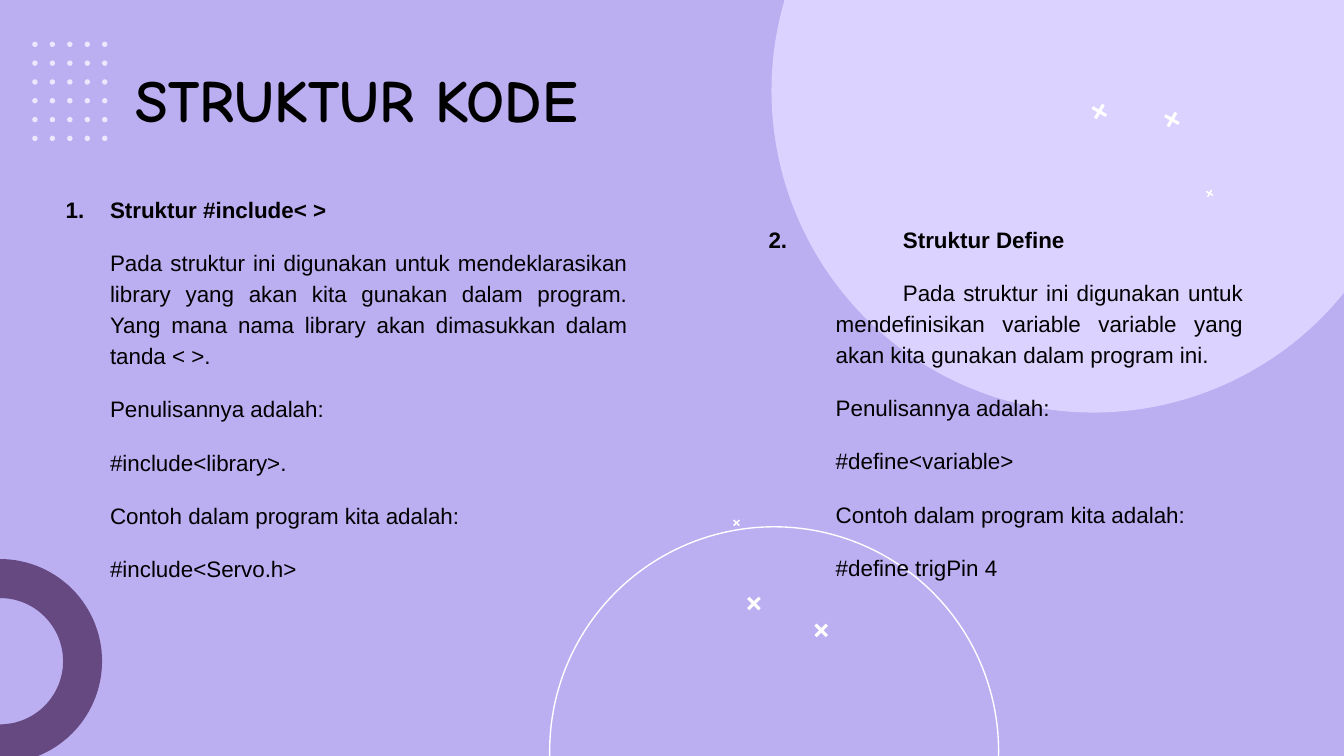
from itertools import product
from math import cos, pi, sin

from lxml.etree import SubElement
from pptx import Presentation
from pptx.dml.color import RGBColor
from pptx.enum.shapes import MSO_SHAPE as Shape
from pptx.enum.text import MSO_ANCHOR as Anchor, MSO_AUTO_SIZE as AutoSize, PP_ALIGN as Align
from pptx.oxml.ns import qn
from pptx.util import Inches, Pt

BACKGROUND, BLACK, WHITE = "BBAEF1", "000000", "FFFFFF"
LILAC, DOT, PLUM = "DBD2FF", "ECE7FC", "664980"


def color(value):
    return RGBColor.from_string(value)


def paint(shape, fill=None, line=None):
    shape.shadow.inherit = False
    if fill:
        shape.fill.solid()
        shape.fill.fore_color.rgb = color(fill)
    else:
        shape.fill.background()
    if line:
        shape.line.color.rgb = color(line)
        shape.line.width = Pt(0.75)
    else:
        shape.line.fill.background()


def add_preset(page, kind, box, fill=None, line=None):
    shape = page.shapes.add_shape(kind, *map(Inches, box))
    paint(shape, fill, line)
    return shape


def add_dot_grid(page, box, columns=5, rows=6, size=0.04):
    left, top, width, height = box
    step_x = (width - size) / (columns - 1)
    step_y = (height - size) / (rows - 1)
    for column, row in product(range(columns), range(rows)):
        dot = (left + column * step_x, top + row * step_y, size, size)
        add_preset(page, Shape.OVAL, dot, DOT)


def add_half_ring(page, box, thickness):
    left, top, width, height = box
    middle, steps = top + height / 2, 60
    angles = [pi * (i / steps - 0.5) for i in range(steps + 1)]

    def arc(radius, turns):
        return [(Inches(left + radius * cos(a)), Inches(middle + radius * sin(a)))
                for a in turns]

    points = arc(width, angles) + arc(width - thickness, reversed(angles))
    builder = page.shapes.build_freeform(*points[0])
    builder.add_line_segments(points[1:], close=True)
    paint(builder.convert_to_shape(), PLUM)


def add_cross(page, box, rotation):
    left, top, size, _ = box
    bar = size / 5
    inset = (size - bar) / 2
    for part in ((left + inset, top, bar, size), (left, top + inset, size, bar)):
        add_preset(page, Shape.RECTANGLE, part, WHITE).rotation = rotation


def add_decoration(page):
    # Large circles
    add_preset(page, Shape.OVAL, (5.74, -1.72, 4.79, 4.79), LILAC)
    add_preset(page, Shape.OVAL, (4.09, 3.92, 3.34, 3.34), line=WHITE)
    # Dots and ring on the left edge
    add_dot_grid(page, (0.24, 0.31, 0.56, 0.74))
    add_half_ring(page, (0, 4.16, 0.76, 1.52), 0.29)
    # Crosses: left, top, size, rotation
    for left, top, size, rotation in (
        (8.12, 0.77, 0.12, 30), (8.66, 0.83, 0.12, 30), (8.97, 1.41, 0.06, 30),
        (6.05, 4.63, 0.12, 225), (5.55, 4.43, 0.12, 225), (5.45, 3.86, 0.06, 225),
    ):
        add_cross(page, (left, top, size, size), rotation)


def prepare_frame(shape, anchor):
    frame = shape.text_frame
    frame.word_wrap = True
    frame.auto_size = AutoSize.NONE
    frame.vertical_anchor = anchor
    frame.margin_left = frame.margin_right = Inches(0.1)
    frame.margin_top = frame.margin_bottom = Inches(0.1)
    return frame


def style_run(span, font, size, bold):
    span.font.name, span.font.size, span.font.bold = font, Pt(size), bold
    span.font.color.rgb = color(BLACK)


def add_title(page, box, text):
    title = page.shapes.title
    title.left, title.top, title.width, title.height = map(Inches, box)
    frame = prepare_frame(title, Anchor.MIDDLE)
    frame.text = text
    para = frame.paragraphs[0]
    para.alignment = Align.LEFT
    style_run(para.runs[0], "Comic Neue", 32, True)


def set_indent(para, left, first):
    properties = para._p.get_or_add_pPr()
    properties.set("marL", str(Inches(left)))
    properties.set("indent", str(Inches(first)))
    properties.set("defTabSz", str(Inches(1)))


def add_section(page, box, lines):
    """Each line is its text, alignment, left margin and first-line indent."""
    frame = prepare_frame(page.shapes.add_textbox(*map(Inches, box)), Anchor.TOP)
    for index, (text, align, left, first) in enumerate(lines):
        para = frame.add_paragraph() if index else frame.paragraphs[0]
        para.text = text
        para.alignment = align
        para.line_spacing = 1.15
        para.space_before = Pt(12)
        para.space_after = Pt(12 if index == len(lines) - 1 else 0)
        set_indent(para, left, first)
        style_run(para.runs[0], "Arial", 12, index == 0)
    return frame.paragraphs[0]


def number_heading(para):
    properties = para._p.get_or_add_pPr()
    tint = SubElement(properties, qn("a:buClr"))
    SubElement(tint, qn("a:srgbClr"), val=BLACK)
    SubElement(properties, qn("a:buFont"), typeface="Arial")
    SubElement(properties, qn("a:buAutoNum"), type="arabicPeriod")


def build_code_structure(deck):
    page = deck.slides.add_slide(deck.slide_layouts[5])
    page.background.fill.solid()
    page.background.fill.fore_color.rgb = color(BACKGROUND)
    add_decoration(page)
    add_title(page, (0.91, 0.27, 4.55, 0.92), "STRUKTUR KODE")

    # Include section
    heading = add_section(page, (0.22, 1.33, 4.55, 3.1), [
        ("Struktur #include< >", Align.LEFT, 0.5, -0.33),
        ("Pada struktur ini digunakan untuk mendeklarasikan library yang akan kita "
         "gunakan dalam program. Yang mana nama library akan dimasukkan dalam "
         "tanda < >.", Align.JUSTIFY, 0.5, 0),
        ("Penulisannya adalah:", Align.JUSTIFY, 0.5, 0),
        ("#include<library>.", Align.LEFT, 0.5, 0),
        ("Contoh dalam program kita adalah:", Align.LEFT, 0.5, 0),
        ("#include<Servo.h>", Align.LEFT, 0.5, 0),
    ])
    number_heading(heading)

    # Define section
    add_section(page, (5.62, 1.55, 3.73, 2.87), [
        ("2.\tStruktur Define", Align.LEFT, 0, 0),
        ("Pada struktur ini digunakan untuk mendefinisikan variable variable yang "
         "akan kita gunakan dalam program ini.", Align.JUSTIFY, 0.5, 0.5),
        ("Penulisannya adalah:", Align.JUSTIFY, 0.5, 0),
        ("#define<variable>", Align.JUSTIFY, 0.5, 0),
        ("Contoh dalam program kita adalah:", Align.JUSTIFY, 0.5, 0),
        ("#define trigPin 4", Align.LEFT, 0.5, 0),
    ])


def main():
    deck = Presentation()
    # Widescreen page, 16 to 9
    deck.slide_width = Inches(10)
    deck.slide_height = deck.slide_width * 9 // 16
    build_code_structure(deck)
    deck.save("out.pptx")


if __name__ == "__main__":
    main()
